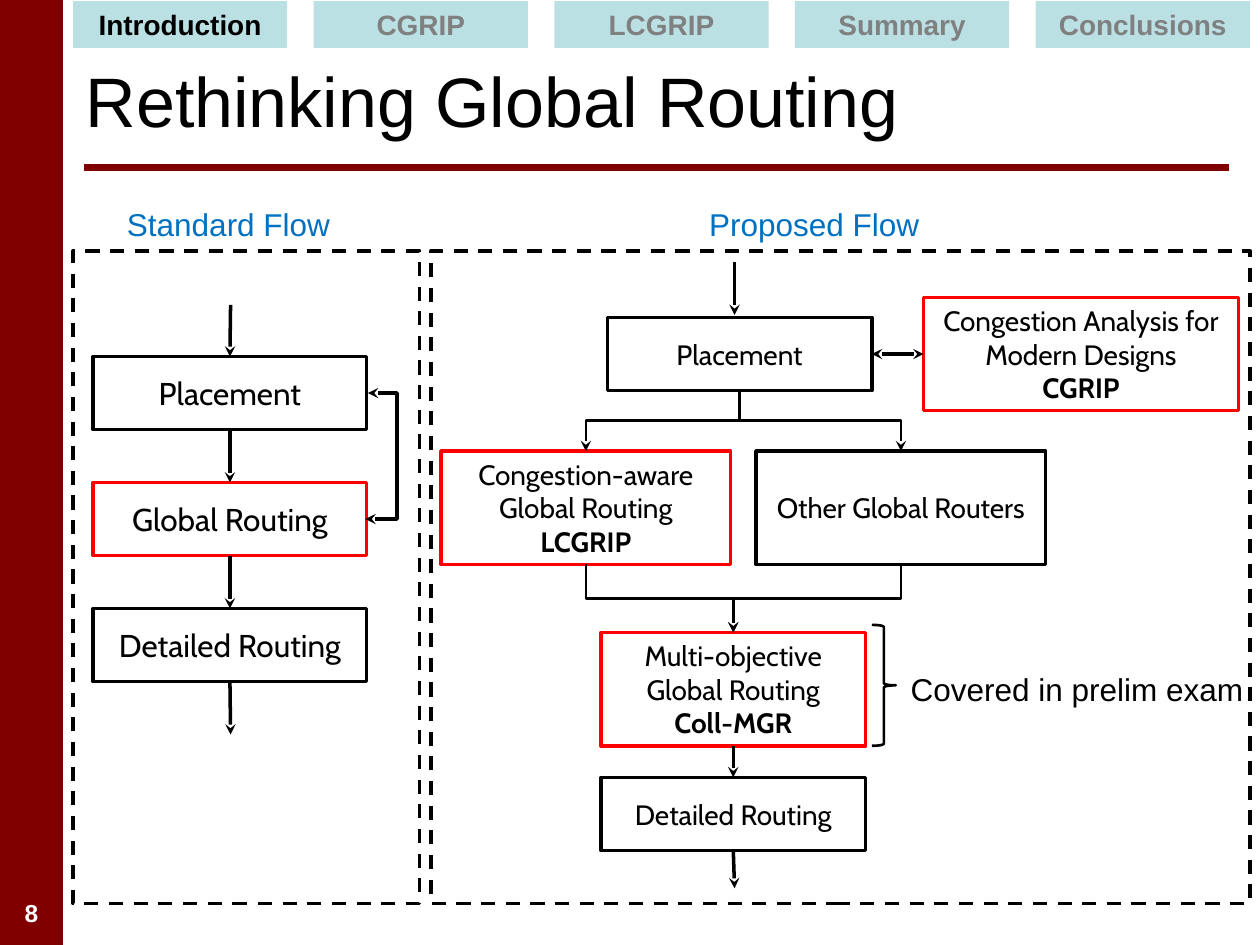
from dataclasses import dataclass
from typing import Optional

from lxml import etree
from pptx import Presentation, util as u
from pptx.dml import color
from pptx.enum import dml, shapes, text
from pptx.oxml import ns

BLACK, RED, MAROON, BLUE = "000000", "FF0000", "800000", "0070C0"
WHITE, GRAY, TEAL = "FFFFFF", "808080", "BBE0E3"


@dataclass
class Step:
    left: float
    top: float
    width: float
    height: float
    lines: tuple[str, ...]
    size: int = 16
    edge: str = BLACK
    bold_last: bool = False


@dataclass
class Label:
    left: float
    top: float
    width: float
    height: float
    words: str
    size: int = 18
    ink: str = BLACK
    bold: bool = False
    align: Optional[text.PP_ALIGN] = None


def rgb(value: str) -> color.RGBColor:
    return color.RGBColor.from_string(value)


def apply(target, values: dict) -> None:
    for name, value in values.items():
        setattr(target, name, value)


def area(*values: float) -> list[u.Length]:
    return [u.Inches(value) for value in values]


def write(frame, lines, size, ink, font="Arial", bold=False, bold_last=False, align=None) -> None:
    for index, line in enumerate(lines):
        paragraph = frame.add_paragraph() if index else frame.paragraphs[0]
        paragraph.alignment = align
        run = paragraph.add_run()
        run.text = line
        last = index == len(lines) - 1
        apply(run.font, {"name": font, "size": u.Pt(size), "bold": bold or (bold_last and last)})
        run.font.color.rgb = rgb(ink)


def add_box(slide, place, fill=None, edge=None, width=2.0, dash=None, kind=shapes.MSO_SHAPE.RECTANGLE):
    box = slide.shapes.add_shape(kind, *area(*place))
    box.shadow.inherit = False
    if fill:
        box.fill.solid()
        box.fill.fore_color.rgb = rgb(fill)
    else:
        box.fill.background()
    if edge:
        box.line.color.rgb = rgb(edge)
        apply(box.line, {"width": u.Pt(width), "dash_style": dash})
    else:
        box.line.fill.background()
    return box


def add_step(slide, step: Step):
    box = add_box(slide, (step.left, step.top, step.width, step.height), edge=step.edge)
    apply(box.text_frame, {"word_wrap": True, "vertical_anchor": text.MSO_ANCHOR.MIDDLE})
    write(box.text_frame, step.lines, step.size, BLACK, "Cabin",
          bold_last=step.bold_last, align=text.PP_ALIGN.CENTER)
    return box


def add_label(slide, label: Label) -> None:
    box = slide.shapes.add_textbox(*area(label.left, label.top, label.width, label.height))
    apply(box.text_frame, {"word_wrap": False, "auto_size": text.MSO_AUTO_SIZE.SHAPE_TO_FIT_TEXT})
    write(box.text_frame, [label.words], label.size, label.ink, bold=label.bold, align=label.align)


def add_line(slide, start, end, ink=BLACK, width=2.0, ends=("tailEnd",), kind=shapes.MSO_CONNECTOR.STRAIGHT):
    line = slide.shapes.add_connector(kind, *area(*start, *end))
    line.line.color.rgb = rgb(ink)
    line.line.width = u.Pt(width)
    outline = line.line._ln
    for name in ends:
        etree.SubElement(outline, ns.qn(f"a:{name}"), type="stealth")
    etree.SubElement(line._element.spPr, ns.qn("a:effectLst"))
    return line


def join(slide, first, second, from_site=2, to_site=0, ends=("tailEnd",)) -> None:
    line = add_line(slide, (0, 0), (1, 1), ends=ends)
    line.begin_connect(first, from_site)
    line.end_connect(second, to_site)


def add_branch(slide, start, end) -> None:
    across, down = end[0] - start[0], end[1] - start[1]
    middle = (start[0] + end[0]) / 2, (start[1] + end[1]) / 2
    half = down / 2, abs(across) / 2
    line = add_line(slide, (middle[0] - half[0], middle[1] - half[1]),
                    (middle[0] + half[0], middle[1] + half[1]),
                    width=1.5, kind=shapes.MSO_CONNECTOR.ELBOW)
    frame = line._element.spPr.find(ns.qn("a:xfrm"))
    frame.set("rot", str((270 if across > 0 else 90) * 60000))
    if across > 0:
        frame.set("flipH", "1")


def add_feedback(slide, start, end, reach: float) -> None:
    line = add_line(slide, start, end, ends=("headEnd", "tailEnd"), kind=shapes.MSO_CONNECTOR.ELBOW)
    guides = line._element.spPr.find(ns.qn("a:prstGeom")).get_or_add_avLst()
    bend = round((reach - start[0]) / (end[0] - start[0]) * 100000)
    etree.SubElement(guides, ns.qn("a:gd"), name="adj1", fmla=f"val {bend}")


def add_frame(slide) -> None:
    add_box(slide, (0, 0, 0.5, 7.5), fill=MAROON)
    add_line(slide, (0.67, 1.33), (9.75, 1.33), MAROON, 4, ends=())
    add_label(slide, Label(0, 7.08, 0.5, 0.33, "8", 14, WHITE, True, text.PP_ALIGN.CENTER))
    title = slide.shapes.title
    places = area(0.58, 0.25, 9.17, 1.08)
    apply(title, dict(zip(("left", "top", "width", "height"), places)))
    title.text_frame.vertical_anchor = text.MSO_ANCHOR.MIDDLE
    write(title.text_frame, ["Rethinking Global Routing"], 40, BLACK, align=text.PP_ALIGN.LEFT)
    for index, section in enumerate(("Introduction", "CGRIP", "LCGRIP", "Summary", "Conclusions")):
        tab = add_box(slide, (0.58 + 1.91 * index, 0.01, 1.7, 0.37), fill=TEAL)
        apply(tab.text_frame, {"word_wrap": True, "vertical_anchor": text.MSO_ANCHOR.TOP})
        write(tab.text_frame, [section], 16, GRAY if index else BLACK, bold=True, align=text.PP_ALIGN.CENTER)
    for left, width in ((0.58, 2.75), (3.42, 6.5)):
        add_box(slide, (left, 1.99, width, 5.18), edge=BLACK, dash=dml.MSO_LINE.DASH)


def add_standard_flow(slide) -> None:
    add_label(slide, Label(0.91, 1.58, 1.83, 0.4, "Standard Flow", ink=BLUE))
    names = ("Placement", "Global Routing", "Detailed Routing")
    steps = [add_step(slide, Step(0.74, 2.83 + index, 2.17, 0.58, (name,), 18, RED if index == 1 else BLACK))
             for index, name in enumerate(names)]
    for upper, lower in zip(steps, steps[1:]):
        join(slide, upper, lower)
    add_line(slide, (1.83, 2.42), (1.83, 2.83)).end_connect(steps[0], 0)
    add_line(slide, (1.83, 5.42), (1.83, 5.83)).begin_connect(steps[-1], 2)
    add_feedback(slide, (2.9, 4.12), (2.92, 3.12), 3.15)


def add_proposed_flow(slide) -> None:
    add_label(slide, Label(5.53, 1.58, 1.89, 0.4, "Proposed Flow", ink=BLUE))
    placement, analysis, _, _, objective, detailed = [add_step(slide, step) for step in (
        Step(4.82, 2.52, 2.1, 0.58, ("Placement",)),
        Step(7.33, 2.36, 2.5, 0.9, ("Congestion Analysis for Modern Designs", "CGRIP"), 16, RED, True),
        Step(3.5, 3.58, 2.3, 0.9, ("Congestion-aware", "Global Routing", "LCGRIP"), 16, RED, True),
        Step(6, 3.58, 2.3, 0.9, ("Other Global Routers",)),
        Step(4.77, 5.02, 2.1, 0.9, ("Multi-objective", "Global Routing", "Coll-MGR"), 16, RED, True),
        Step(4.77, 6.17, 2.1, 0.58, ("Detailed Routing",)),
    )]
    join(slide, placement, analysis, 3, 1, ("headEnd", "tailEnd"))
    join(slide, objective, detailed)
    add_line(slide, (5.83, 2.08), (5.83, 2.5))
    add_line(slide, (5.83, 6.75), (5.83, 7.05)).begin_connect(detailed, 2)
    for router in (4.65, 7.15):
        add_branch(slide, (5.87, 3.1), (router, 3.58))
        add_branch(slide, (router, 4.48), (5.82, 5.02))
    add_box(slide, (6.92, 4.96, 0.19, 0.96), edge=BLACK, width=1.5, kind=shapes.MSO_SHAPE.RIGHT_BRACE)
    add_label(slide, Label(7.13, 5.27, 2.87, 0.4, "Covered in prelim exam"))


def main() -> None:
    deck = Presentation()
    apply(deck, {"slide_width": u.Inches(10), "slide_height": u.Inches(7.5)})
    slide = deck.slides.add_slide(deck.slide_layouts[5])
    add_frame(slide)
    add_standard_flow(slide)
    add_proposed_flow(slide)
    deck.save("out.pptx")


if __name__ == "__main__":
    main()
